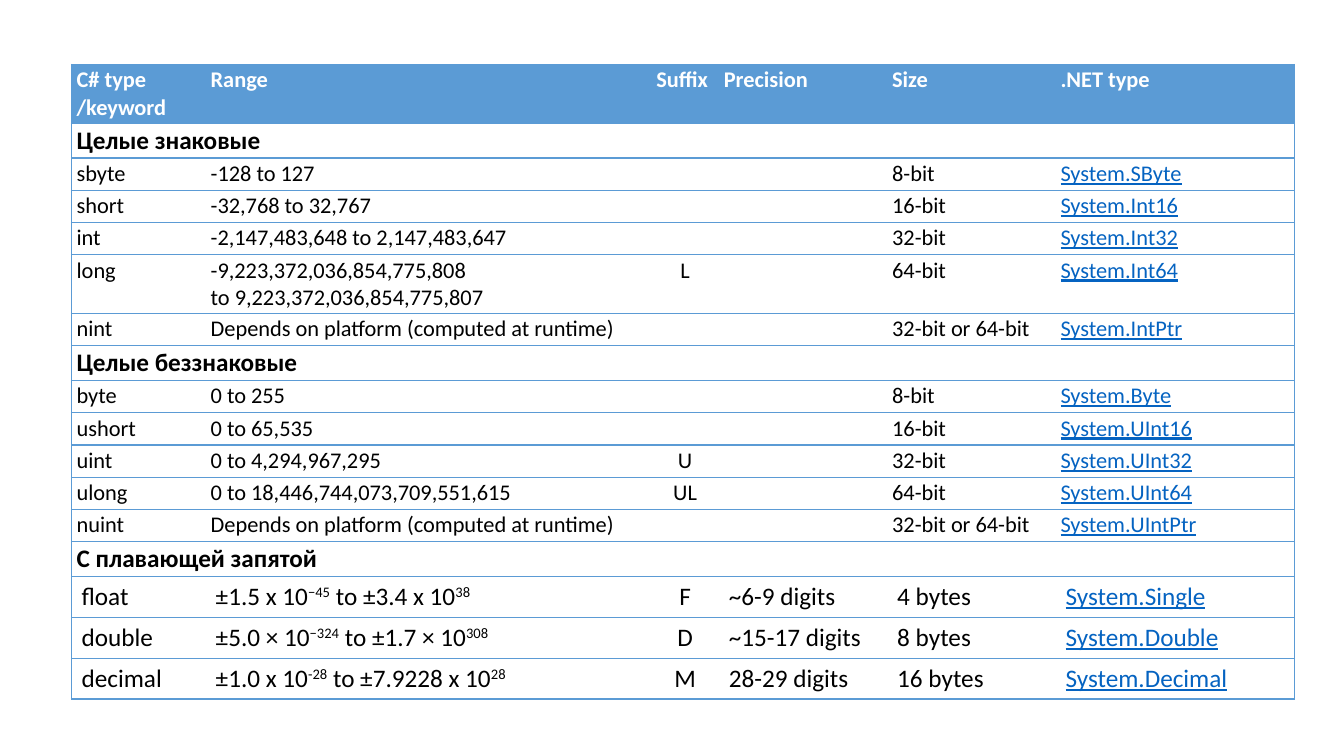
from lxml import etree
from pptx import Presentation
from pptx.dml.color import RGBColor
from pptx.enum.text import PP_ALIGN
from pptx.oxml.ns import qn
from pptx.util import Inches, Pt

CENTER, LEFT = PP_ALIGN.CENTER, PP_ALIGN.LEFT
COLORS = {"accent": "5B9BD5", "white": "FFFFFF", "text": "000000", "link": "0563C1"}
FONT = "Calibri"

COLUMN_WIDTHS = [1.33, 4.42, 0.67, 1.67, 1.67, 2.37]
SUFFIX_COLUMN, TYPE_COLUMN = 2, 5
BLANK_LAYOUT = 6

# Row styles: row height, font size, side inset, top and bottom inset
STYLES = {
    "header": (0.58, 16, 0.05, 0.02),
    "section": (0.34, 18, 0.05, 0.02),
    "integer": (0.32, 16, 0.05, 0.02),
    "long": (0.58, 16, 0.05, 0.02),
    "float": (0.4, 18, 0.1, 0.05),
}

# A caret switches superscript on and off; a line break starts a paragraph
ROWS = [
    ("header", "C# type /keyword", "Range", "Suffix", "Precision", "Size", ".NET type"),
    ("section", "Целые знаковые"),
    ("integer", "sbyte", "-128 to 127", "", "", "8-bit", "System.SByte"),
    ("integer", "short", "-32,768 to 32,767", "", "", "16-bit", "System.Int16"),
    ("integer", "int", "-2,147,483,648 to 2,147,483,647", "", "", "32-bit", "System.Int32"),
    ("long", "long", "-9,223,372,036,854,775,808\nto 9,223,372,036,854,775,807", "L", "",
     "64-bit", "System.Int64"),
    ("integer", "nint", "Depends on platform (computed at runtime)", "", "",
     "32-bit or 64-bit", "System.IntPtr"),
    ("section", "Целые беззнаковые"),
    ("integer", "byte", "0 to 255", "", "", "8-bit", "System.Byte"),
    ("integer", "ushort", "0 to 65,535", "", "", "16-bit", "System.UInt16"),
    ("integer", "uint", "0 to 4,294,967,295", "U", "", "32-bit", "System.UInt32"),
    ("integer", "ulong", "0 to 18,446,744,073,709,551,615", "UL", "", "64-bit", "System.UInt64"),
    ("integer", "nuint", "Depends on platform (computed at runtime)", "", "",
     "32-bit or 64-bit", "System.UIntPtr"),
    ("section", "С плавающей запятой"),
    ("float", "float", "±1.5 x 10^−45^ to ±3.4 x 10^38", "F", "~6-9 digits",
     "4 bytes", "System.Single"),
    ("float", "double", "±5.0 × 10^−324^ to ±1.7 × 10^308", "D", "~15-17 digits",
     "8 bytes", "System.Double"),
    ("float", "decimal", "±1.0 x 10^-28^ to ±7.9228 x 10^28", "M", "28-29 digits",
     "16 bytes", "System.Decimal"),
]


def set_borders(cell, sides):
    """Draw the named sides (L, R, T, B) and clear the others."""
    properties = cell._tc.get_or_add_tcPr()
    for side in "LRTB":
        line = etree.SubElement(properties, qn(f"a:ln{side}"), w=str(Pt(1)))
        if side in sides:
            fill = etree.SubElement(line, qn("a:solidFill"))
            etree.SubElement(fill, qn("a:srgbClr"), val=COLORS["accent"])
        else:
            etree.SubElement(line, qn("a:noFill"))


def write_text(cell, text, size, color, bold, underline, alignment):
    frame = cell.text_frame
    for index, line in enumerate(text.split("\n")):
        paragraph = frame.add_paragraph() if index else frame.paragraphs[0]
        paragraph.alignment = alignment
        font = paragraph.font
        font.name, font.size = FONT, Pt(size)
        font.bold, font.underline = bold, underline
        font.color.rgb = RGBColor.from_string(color)
        if not line:
            continue
        for part, piece in enumerate(line.split("^")):
            run = paragraph.add_run()
            run.text = piece
            if part % 2:
                run._r.get_or_add_rPr().set("baseline", "30000")


def format_cell(cell, style, column, text):
    _, size, side_inset, edge_inset = STYLES[style]
    header, section = style == "header", style == "section"
    is_link = column == TYPE_COLUMN and not header
    cell.margin_left = cell.margin_right = Inches(side_inset)
    cell.margin_top = cell.margin_bottom = Inches(edge_inset)

    sides = "TB"
    if column == 0:
        sides += "L"
    if section or column == TYPE_COLUMN:
        sides += "R"
    set_borders(cell, sides)
    cell.fill.solid()
    cell.fill.fore_color.rgb = RGBColor.from_string(COLORS["accent" if header else "white"])

    color = COLORS["white" if header else "link" if is_link else "text"]
    alignment = CENTER if column == SUFFIX_COLUMN and not header else LEFT
    write_text(cell, text, size, color, header or section, is_link, alignment)


def add_type_table(slide, left, top):
    heights = [STYLES[row[0]][0] for row in ROWS]
    frame = slide.shapes.add_table(
        len(ROWS), len(COLUMN_WIDTHS), Inches(left), Inches(top),
        Inches(sum(COLUMN_WIDTHS)), Inches(sum(heights)))
    table = frame.table
    table.first_row = True
    table.horz_banding = False
    for column, width in zip(table.columns, COLUMN_WIDTHS):
        column.width = Inches(width)

    for row_index, (style, *texts) in enumerate(ROWS):
        table.rows[row_index].height = Inches(heights[row_index])
        texts += [""] * (len(COLUMN_WIDTHS) - len(texts))
        for column, text in enumerate(texts):
            format_cell(table.cell(row_index, column), style, column, text)
        if style == "section":
            table.cell(row_index, 0).merge(table.cell(row_index, TYPE_COLUMN))


def main():
    presentation = Presentation()
    presentation.slide_width = Inches(13.33)
    presentation.slide_height = Inches(7.5)
    slide = presentation.slides.add_slide(presentation.slide_layouts[BLANK_LAYOUT])
    add_type_table(slide, 0.71, 0.64)
    presentation.save("out.pptx")


if __name__ == "__main__":
    main()
